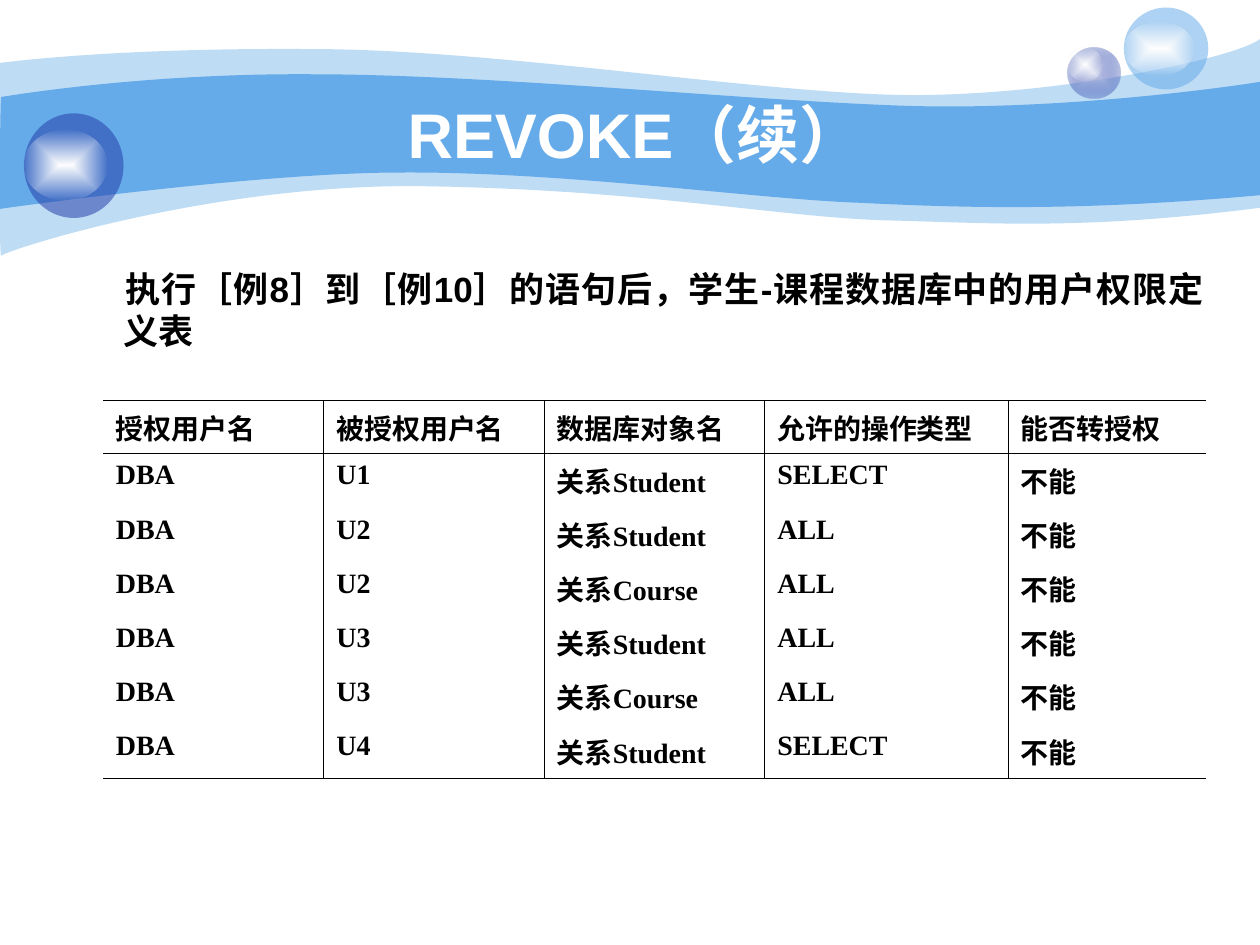
from lxml import etree
from pptx import Presentation
from pptx.dml.color import RGBColor
from pptx.enum.shapes import MSO_SHAPE
from pptx.enum.text import MSO_ANCHOR, PP_ALIGN
from pptx.oxml.ns import qn
from pptx.util import Inches, Pt

OVAL = MSO_SHAPE.OVAL
CENTER, JUSTIFY = PP_ALIGN.CENTER, PP_ALIGN.JUSTIFY
MIDDLE = MSO_ANCHOR.MIDDLE

COLORS = {"sky": "65AAE9", "navy": "233DA9", "lilac": "C7CEE9",
          "white": "FFFFFF", "black": "000000"}

TITLE = "REVOKE（续）"
INTRO = "执行［例8］到［例10］的语句后，学生-课程数据库中的用户权限定义表"
HEADER = ("授权用户名", "被授权用户名", "数据库对象名", "允许的操作类型", "能否转授权")
GRANTS = [("U1", "Student", "SELECT"), ("U2", "Student", "ALL"),
          ("U2", "Course", "ALL"), ("U3", "Student", "ALL"),
          ("U3", "Course", "ALL"), ("U4", "Student", "SELECT")]
COLUMN_WIDTHS = (1.75, 1.75, 1.75, 1.93, 1.57)
HEADER_HEIGHT, ROW_HEIGHT = 0.42, 0.43

# Each wave: opacity in percent, then an upper and a lower edge. An edge is a
# start point followed by Bezier segments (two control points and an end point).
WAVES = [
    (41,
     [(0, 0.5), (0.24, 0.47), (1.07, 0.38), (2.47, 0.39), (3.86, 0.39), (5.75, 0.7),
      (6.99, 0.75), (8.22, 0.8), (9.8, 0.47), (10, 0.31)],
     [(10, 1.65), (8.58, 1.83), (7.87, 1.77), (7.05, 1.75), (6.22, 1.73), (5.15, 1.51),
      (3.43, 1.48), (1.72, 1.44), (0.04, 1.99), (0.01, 2.03), (-0.01, 2.08), (0, 0.75),
      (0, 0.5)]),
    (100,
     [(0.01, 0.77), (0.02, 0.77), (1.1, 0.58), (2.48, 0.59), (3.86, 0.59), (5.95, 0.8),
      (7.18, 0.84), (8.41, 0.88), (9.76, 0.69), (10, 0.65)],
     [(10, 1.55), (8.53, 1.68), (7.65, 1.65), (6.82, 1.61), (5.99, 1.58), (4.47, 1.36),
      (3.17, 1.37), (2.03, 1.37), (-0.02, 1.66), (-0.01, 1.66), (0, 1.66), (0, 0.77),
      (0.01, 0.77)]),
]

# Gradients run from the centre outwards; stops are (colour, opacity)
GLOW = [("white", 100), ("white", 0)]
BUBBLES = [
    ((8.47, 0.38, 0.42, 0.4), [("lilac", 100), ("navy", 31)]),
    ((8.47, 0.38, 0.28, 0.27), GLOW),
    ((8.92, 0.06, 0.67, 0.65), [("sky", 53)]),
    ((8.92, 0.17, 0.56, 0.43), GLOW),
    ((0.19, 0.9, 0.79, 0.83), [("navy", 53)]),
    ((0.19, 1.03, 0.66, 0.56), GLOW),
]


def rgb(name):
    return RGBColor.from_string(COLORS[name])


def add_color(parent, name, opacity=100):
    color = etree.SubElement(parent, qn("a:srgbClr"), val=COLORS[name])
    if opacity < 100:
        etree.SubElement(color, qn("a:alpha"), val=str(opacity * 1000))


def paint(shape, stops):
    """Fill with one translucent colour, or with a gradient from the centre."""
    shape.shadow.inherit = False
    shape.line.fill.background()
    if len(stops) == 1:
        fill = etree.Element(qn("a:solidFill"))
        add_color(fill, *stops[0])
    else:
        fill = etree.Element(qn("a:gradFill"), rotWithShape="1")
        stop_list = etree.SubElement(fill, qn("a:gsLst"))
        for i, stop in enumerate(stops):
            position = str(100000 * i // (len(stops) - 1))
            add_color(etree.SubElement(stop_list, qn("a:gs"), pos=position), *stop)
        path = etree.SubElement(fill, qn("a:path"))
        path.set("path", "rect")
        etree.SubElement(path, qn("a:fillToRect"),
                         dict.fromkeys("ltrb", "50000"))
    shape.fill.background()
    properties = shape._element.spPr
    properties.replace(properties.find(qn("a:noFill")), fill)


def add_wave(slide, upper, lower):
    """Draw the control points as a polygon, then turn each three into a curve."""
    start, *rest = [(Inches(x), Inches(y)) for x, y in upper + lower]
    builder = slide.shapes.build_freeform(*start)
    builder.add_line_segments(rest, close=True)
    wave = builder.convert_to_shape()
    lines = list(wave._element.spPr.iter(qn("a:lnTo")))
    join = len(upper) - 1  # the straight line between the two edges
    for edge in (lines[:join], lines[join + 1:join + len(lower)]):
        for i in range(0, len(edge), 3):
            first, second, last = edge[i:i + 3]
            curve = etree.Element(qn("a:cubicBezTo"))
            first.addprevious(curve)
            for line in (first, second, last):
                curve.append(line[0])
                line.getparent().remove(line)
    return wave


def style_text(paragraph, size, font_name, color):
    for run in paragraph.runs:
        run.font.size, run.font.name, run.font.bold = Pt(size), font_name, True
        run.font.color.rgb = rgb(color)


def set_borders(cell, visible_sides):
    properties = cell._tc.get_or_add_tcPr()
    for i, side in enumerate("LRTB"):
        line = etree.Element(qn("a:ln" + side), w=str(Pt(0.45)))
        if side in visible_sides:
            add_color(etree.SubElement(line, qn("a:solidFill")), "black")
        else:
            etree.SubElement(line, qn("a:noFill"))
        properties.insert(i, line)


def add_banner(slide):
    for opacity, upper, lower in WAVES:
        paint(add_wave(slide, upper, lower), [("sky", opacity)])
    for place, stops in BUBBLES:
        paint(slide.shapes.add_shape(OVAL, *map(Inches, place)), stops)


def add_title(slide):
    title = slide.shapes.title
    slide.shapes._spTree.append(title._element)  # in front of the banner
    title.left, title.top, title.width, title.height = map(Inches, (1, 0.75, 8.08, 0.62))
    title.text_frame.text = TITLE
    title.text_frame.vertical_anchor = MIDDLE
    paragraph = title.text_frame.paragraphs[0]
    paragraph.alignment = CENTER
    style_text(paragraph, 36, "Arial", "white")


def add_intro(slide):
    intro = slide.shapes.add_textbox(*map(Inches, (0.5, 2, 9.15, 1.2)))
    intro.text_frame.word_wrap = True
    intro.text_frame.margin_top = Inches(0.12)
    intro.text_frame.text = INTRO
    paragraph = intro.text_frame.paragraphs[0]
    paragraph.alignment = JUSTIFY
    indents = paragraph._p.get_or_add_pPr()
    indents.set("marL", str(Inches(0.38)))
    indents.set("indent", str(Inches(0.02)))
    style_text(paragraph, 20, "Arial", "black")


def add_grant_table(slide):
    rows = [HEADER] + [("DBA", user, "关系" + relation, operation, "不能")
                       for user, relation, operation in GRANTS]
    height = HEADER_HEIGHT + ROW_HEIGHT * len(GRANTS)
    table = slide.shapes.add_table(
        len(rows), len(HEADER), Inches(0.82), Inches(3.18),
        Inches(sum(COLUMN_WIDTHS)), Inches(height)).table
    table.first_row = table.horz_banding = False
    for column, width in zip(table.columns, COLUMN_WIDTHS):
        column.width = Inches(width)
    last_row, last_column = len(rows) - 1, len(HEADER) - 1
    for r, values in enumerate(rows):
        table.rows[r].height = Inches(ROW_HEIGHT if r else HEADER_HEIGHT)
        for c, value in enumerate(values):
            cell = table.cell(r, c)
            cell.text = value
            cell.fill.background()
            style_text(cell.text_frame.paragraphs[0], 16, "Times New Roman", "black")
            set_borders(cell, ("L" if c else "") + ("R" if c < last_column else "")
                        + ("T" if r < 2 else "") + ("B" if r in (0, last_row) else ""))


def main():
    deck = Presentation()
    deck.slide_width, deck.slide_height = Inches(10), Inches(7.5)
    slide = deck.slides.add_slide(deck.slide_layouts[5])
    add_banner(slide)
    add_title(slide)
    add_intro(slide)
    add_grant_table(slide)
    deck.save("out.pptx")


if __name__ == "__main__":
    main()
